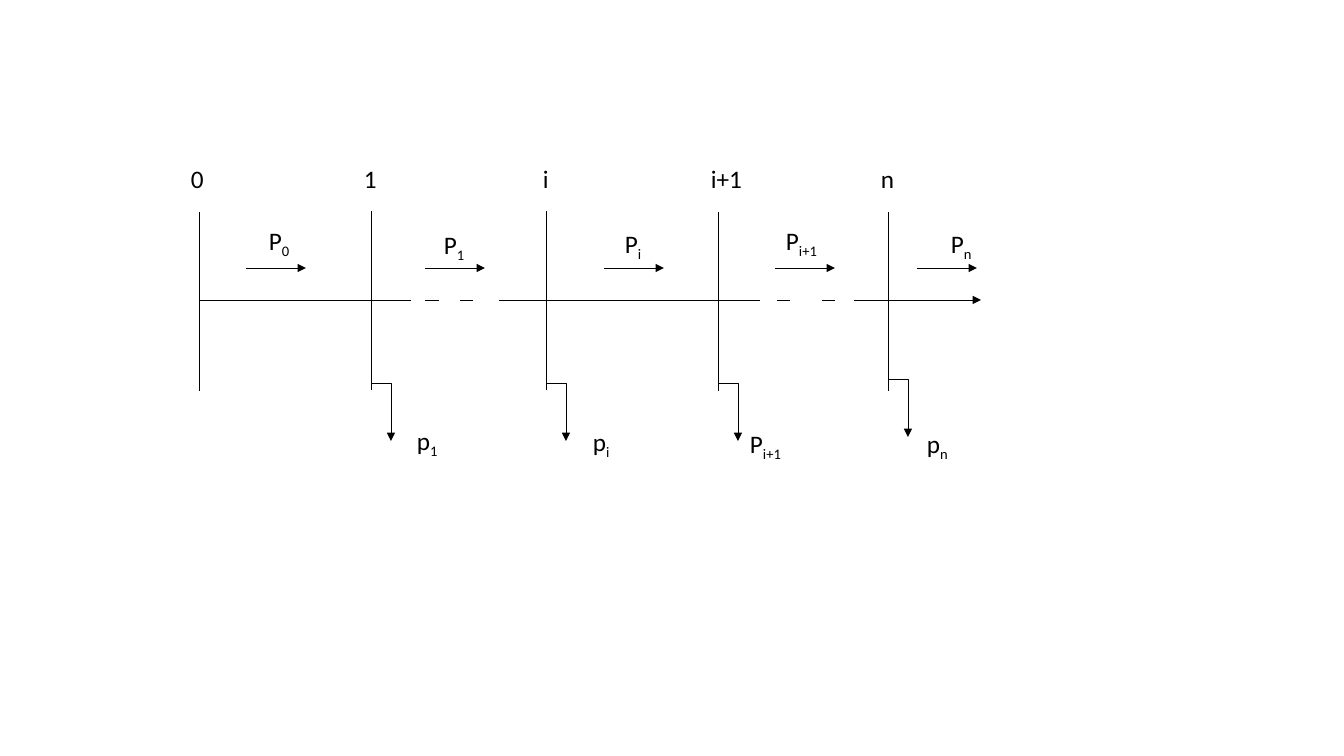
"""Draw a line of stations with the flow through each span and the load drawn off at each station."""
from typing import NamedTuple

from pptx import Presentation
from pptx import util as u
from pptx.dml.color import RGBColor
from pptx.enum import shapes, text
from pptx.oxml import ns, xmlchemy

SCALE = 914400 / 100.8
BLACK = RGBColor(0, 0, 0)
FONT = "Calibri"
POST_HEIGHT = 179
AXIS_Y = 300
FLOW_Y, FLOW_LENGTH = 268, 60
DROP_WIDTH, DROP_HEIGHT = 20, 115
NAME_Y, LABEL_HEIGHT = 158, 40


class Label(NamedTuple):
    left: int
    top: int
    width: int
    base: str
    subscript: str = ""


class Station(NamedTuple):
    x: int
    top: int
    flow_x: int
    drop_y: int | None
    labels: tuple[Label, ...]


class Segment(NamedTuple):
    start: int
    end: int
    arrow: bool = False


STATIONS = (
    Station(199, 212, 246, None, (
        Label(181, NAME_Y, 33, "0"), Label(259, 220, 48, "P", "0 "))),
    Station(371, 211, 425, 326, (
        Label(354, NAME_Y, 33, "1"), Label(434, 224, 48, "P", "1 "), Label(407, 420, 42, "p", "1"))),
    Station(546, 211, 604, 326, (
        Label(533, NAME_Y, 26, "i"), Label(615, 223, 43, "P", "i "), Label(583, 421, 37, "p", "i"))),
    Station(718, 212, 775, 326, (
        Label(701, NAME_Y, 51, "i+1"), Label(776, 220, 54, "P", "i+1"), Label(740, 423, 54, "P", "i+1"))),
    Station(888, 212, 917, 322, (
        Label(871, NAME_Y, 34, "n"), Label(941, 223, 48, "P", "n "), Label(917, 423, 42, "p", "n"))),
)
AXIS = (
    Segment(199, 371), Segment(371, 411), Segment(425, 439), Segment(460, 473),
    Segment(499, 544), Segment(544, 760), Segment(777, 790), Segment(822, 835),
    Segment(854, 981, True),
)


def px(pixels: float) -> u.Emu:
    """Turn pixels into EMU."""
    return u.Emu(round(pixels * SCALE))


def draw_line(slide, start: tuple[float, float], end: tuple[float, float], arrow: bool = False,
              kind: shapes.MSO_CONNECTOR = shapes.MSO_CONNECTOR.STRAIGHT):
    """Draw a thin black connector and return it."""
    connector = slide.shapes.add_connector(kind, *map(px, start + end))
    connector.line.width = u.Pt(0.5)
    connector.line.color.rgb = BLACK
    properties = connector._element.spPr
    if arrow:
        tail = xmlchemy.OxmlElement("a:tailEnd")
        tail.set("type", "triangle")
        properties.find(ns.qn("a:ln")).append(tail)
    properties.append(xmlchemy.OxmlElement("a:effectLst"))
    return connector


def draw_drop(slide, x: int, y: int) -> None:
    """Draw an elbow arrow that leaves a post downwards, as a flipped connector turned by 270 degrees."""
    middle_x, middle_y = x + DROP_WIDTH / 2, y + DROP_HEIGHT / 2
    connector = draw_line(
        slide,
        (middle_x + DROP_HEIGHT / 2, middle_y - DROP_WIDTH / 2),
        (middle_x - DROP_HEIGHT / 2, middle_y + DROP_WIDTH / 2),
        True, shapes.MSO_CONNECTOR.ELBOW)
    connector._element.spPr.find(ns.qn("a:xfrm")).set("rot", str(270 * 60000))


def draw_label(slide, label: Label) -> None:
    """Write a symbol with its optional subscript."""
    box = slide.shapes.add_textbox(px(label.left), px(label.top), px(label.width), px(LABEL_HEIGHT))
    box.text_frame.word_wrap = False
    box.text_frame.auto_size = text.MSO_AUTO_SIZE.SHAPE_TO_FIT_TEXT
    paragraph = box.text_frame.paragraphs[0]
    paragraph.text = label.base
    if label.subscript:
        run = paragraph.add_run()
        run.text = label.subscript
        run._r.get_or_add_rPr().set("baseline", "-25000")
    for run in paragraph.runs:
        run.font.name = FONT
        run.font.size = u.Pt(18)
        run.font.color.rgb = BLACK


def draw_station(slide, station: Station) -> None:
    """Draw a post with its flow arrow, its drop and its labels."""
    draw_line(slide, (station.x, station.top), (station.x, station.top + POST_HEIGHT))
    draw_line(slide, (station.flow_x, FLOW_Y), (station.flow_x + FLOW_LENGTH, FLOW_Y), True)
    if station.drop_y is not None:
        draw_drop(slide, station.x, station.drop_y)
    for label in station.labels:
        draw_label(slide, label)


def main() -> None:
    """Build and save the slide."""
    presentation = Presentation()
    presentation.slide_width, presentation.slide_height = px(1344), px(756)
    slide = presentation.slides.add_slide(presentation.slide_layouts[6])
    for segment in AXIS:
        draw_line(slide, (segment.start, AXIS_Y), (segment.end, AXIS_Y), segment.arrow)
    for station in STATIONS:
        draw_station(slide, station)
    presentation.save("out.pptx")


main()
